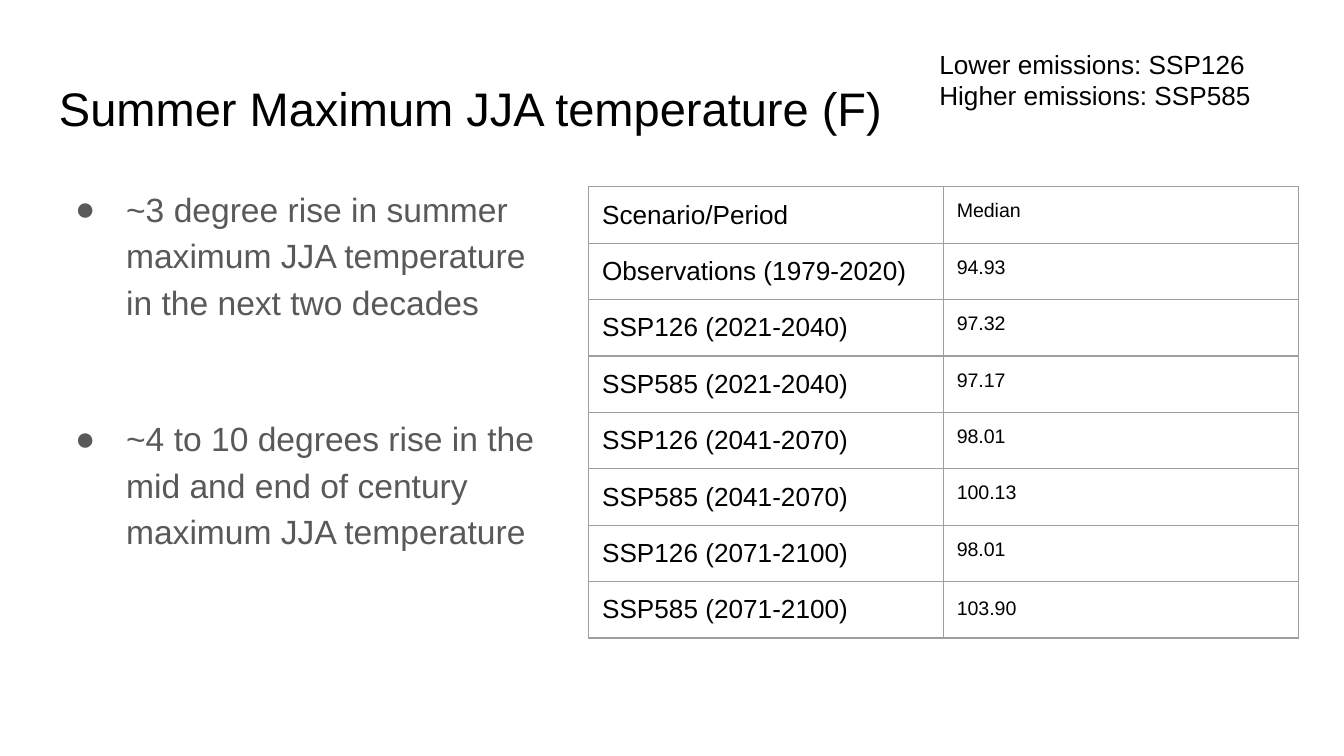
from lxml.etree import SubElement
from pptx import Presentation
from pptx.dml.color import RGBColor
from pptx.enum.text import MSO_ANCHOR as Anchor, PP_ALIGN as Align
from pptx.oxml.ns import qn
from pptx.util import Inches, Pt

BLACK = RGBColor(0x00, 0x00, 0x00)
GRAY = RGBColor(0x59, 0x59, 0x59)
BORDER = RGBColor(0x9E, 0x9E, 0x9E)

SCENARIOS = [
    ("Scenario/Period", "Median"),
    ("Observations (1979-2020)", "94.93"),
    ("SSP126 (2021-2040)", "97.32"),
    ("SSP585 (2021-2040)", "97.17"),
    ("SSP126 (2041-2070)", "98.01"),
    ("SSP585 (2041-2070)", "100.13"),
    ("SSP126 (2071-2100)", "98.01"),
    ("SSP585 (2071-2100)", "103.90"),
]
FINDINGS = [
    "~3 degree rise in summer maximum JJA temperature in the next two decades",
    "~4 to 10 degrees rise in the mid and end of century maximum JJA temperature",
]


class SlideBuilder:
    font = "Arial"
    margin = Inches(0.1)

    def __init__(self, page):
        self.page = page

    def style(self, para, size, color):
        para.font.name = self.font
        para.font.size = Pt(size)
        para.font.color.rgb = color

    def set_margins(self, target):
        target.margin_left = target.margin_right = self.margin
        target.margin_top = target.margin_bottom = self.margin

    def text(self, left, top, width, height, lines, size, color=BLACK, anchor=Anchor.TOP):
        """Add a text box with one paragraph per line and return its paragraphs."""
        box = self.page.shapes.add_textbox(
            Inches(left), Inches(top), Inches(width), Inches(height))
        frame = box.text_frame
        frame.word_wrap = True
        frame.vertical_anchor = anchor
        self.set_margins(frame)
        frame.text = "\n".join(lines)
        for para in frame.paragraphs:
            self.style(para, size, color)
        return frame.paragraphs

    def bullets(self, left, top, width, height, lines, size, color, gap):
        paras = self.text(left, top, width, height, lines, size, color)
        for index, para in enumerate(paras):
            para.line_spacing = 1.15
            para.space_before = Pt(gap if index else 0)
            props = para._p.get_or_add_pPr()
            props.set("marL", str(Inches(0.5)))
            props.set("indent", str(Inches(-0.38)))
            bullet_color = SubElement(props, qn("a:buClr"))
            SubElement(bullet_color, qn("a:srgbClr"), val=str(color))
            SubElement(props, qn("a:buFont"), typeface=self.font)
            SubElement(props, qn("a:buChar"), char="●")

    def border(self, cell, color, width):
        props = cell._tc.get_or_add_tcPr()
        for position, side in enumerate(("lnL", "lnR", "lnT", "lnB")):
            line = props.makeelement(qn(f"a:{side}"), {"w": str(Pt(width))})
            fill = SubElement(line, qn("a:solidFill"))
            SubElement(fill, qn("a:srgbClr"), val=str(color))
            props.insert(position, line)

    def table(self, left, top, column_width, row_height, rows, sizes):
        """Add a bordered table; sizes holds one text size per column."""
        table = self.page.shapes.add_table(
            len(rows), len(sizes), Inches(left), Inches(top),
            Inches(column_width * len(sizes)), Inches(row_height * len(rows))).table
        table.first_row = table.horz_banding = False
        for column in table.columns:
            column.width = Inches(column_width)
        for row, values in zip(table.rows, rows):
            row.height = Inches(row_height)
            for cell, value, size in zip(row.cells, values, sizes):
                cell.text = value
                cell.fill.background()
                self.set_margins(cell)
                self.border(cell, BORDER, 0.75)
                para = cell.text_frame.paragraphs[0]
                para.alignment = Align.JUSTIFY
                self.style(para, size, BLACK)
        return table


def main():
    deck = Presentation()
    deck.slide_width = Inches(10)
    deck.slide_height = deck.slide_width * 9 // 16
    builder = SlideBuilder(deck.slides.add_slide(deck.slide_layouts[6]))

    table = builder.table(4.38, 1.39, 2.64, 0.42, SCENARIOS, (14, 10.5))
    last_median = table.cell(len(SCENARIOS) - 1, 1)
    last_median.text_frame.paragraphs[0].line_spacing = 1.15

    builder.text(0.34, 0.49, 9.32, 0.63, ["Summer Maximum JJA temperature (F)"],
                 25.2, anchor=Anchor.MIDDLE)
    builder.bullets(0.34, 1.26, 3.92, 3.74, FINDINGS, 18, GRAY, gap=48.5)
    builder.text(6.89, 0.26, 3.02, 0.67,
                 ["Lower emissions: SSP126", "Higher emissions: SSP585"], 14)

    deck.save("out.pptx")


if __name__ == "__main__":
    main()
